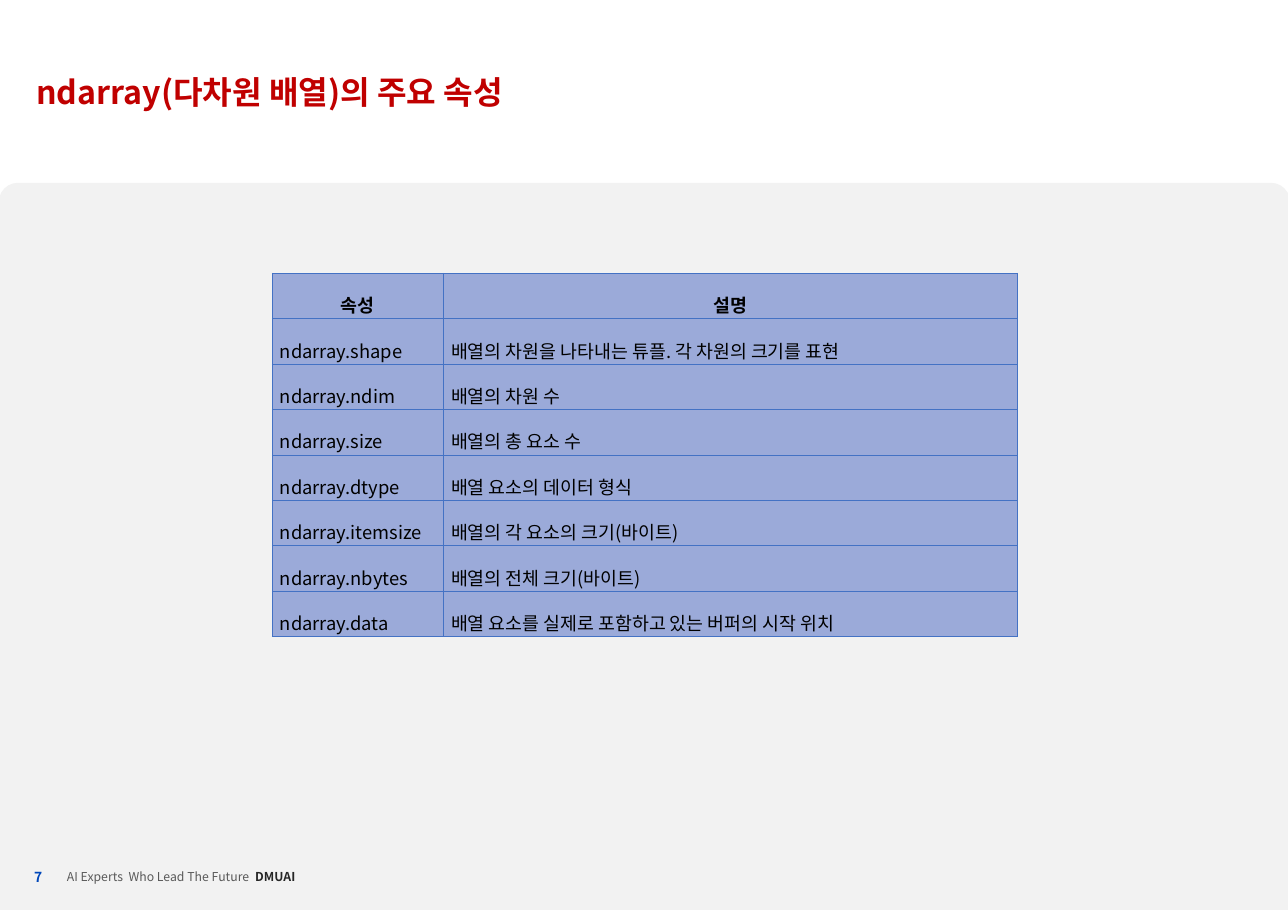
from collections import namedtuple

from lxml import etree
from pptx import Presentation
from pptx import util as u
from pptx.dml import color
from pptx.enum import shapes, text
from pptx.oxml import ns

FONT = "Noto Sans CJK KR"
Box = namedtuple("Box", "left top width height")
Style = namedtuple("Style", "size ink bold")

TITLE = Style(21, "C00000", True)
NUMBER = Style(9, "0047BA", True)
MOTTO = Style(8, "595959", False)
SCHOOL = Style(8, "262626", True)
HEADING = Style(12, "000000", True)
ENTRY = Style(12, "000000", False)

PANEL = "F2F2F2"
CELL = "9BAAD9"
GRID = "4472C4"

ATTRIBUTES = [
    ("속성", "설명"),
    ("ndarray.shape", "배열의 차원을 나타내는 튜플. 각 차원의 크기를 표현"),
    ("ndarray.ndim", "배열의 차원 수"),
    ("ndarray.size", "배열의 총 요소 수"),
    ("ndarray.dtype", "배열 요소의 데이터 형식"),
    ("ndarray.itemsize", "배열의 각 요소의 크기(바이트)"),
    ("ndarray.nbytes", "배열의 전체 크기(바이트)"),
    ("ndarray.data", "배열 요소를 실제로 포함하고 있는 버퍼의 시작 위치"),
]


def rgb(value):
    return color.RGBColor.from_string(value)


def part(box, left, top, width, height):
    return Box(
        int(box.left + box.width * left / 100),
        int(box.top + box.height * top / 100),
        int(box.width * width / 100),
        int(box.height * height / 100),
    )


def add_span(para, words, style):
    span = para.add_run()
    span.text = words
    span.font.name = FONT
    span.font.size = u.Pt(style.size)
    span.font.bold = style.bold
    span.font.color.rgb = rgb(style.ink)
    east_asian = etree.SubElement(span.font._element, ns.qn("a:ea"))
    east_asian.set("typeface", FONT)


def set_margins(target, across, down):
    target.margin_left = target.margin_right = u.Inches(across)
    target.margin_top = target.margin_bottom = u.Inches(down)


def add_panel(page, box, kind):
    panel = page.shapes.add_shape(kind, *box)
    panel.shadow.inherit = False
    panel.fill.solid()
    panel.fill.fore_color.rgb = rgb(PANEL)
    panel.line.fill.background()
    return panel


def add_label(page, box, align, spans):
    frame = page.shapes.add_textbox(*box).text_frame
    frame.word_wrap = False
    set_margins(frame, 0, 0)
    para = frame.paragraphs[0]
    para.alignment = align
    for words, style in spans:
        add_span(para, words, style)


def add_title(page, box):
    title = page.shapes.title
    title.left, title.top, title.width, title.height = box
    frame = title.text_frame
    frame.word_wrap = True
    frame.vertical_anchor = text.MSO_ANCHOR.MIDDLE
    set_margins(frame, 0.1, 0.05)
    para = frame.paragraphs[0]
    para.alignment = text.PP_ALIGN.LEFT
    para.line_spacing = 0.9
    add_span(para, "ndarray(다차원 배열)의 주요 속성", TITLE)


def add_footer(page, box):
    add_panel(page, box, shapes.MSO_SHAPE.RECTANGLE)
    add_label(page, part(box, 5.12, 61.46, 18, 13.54), text.PP_ALIGN.CENTER,
              [("AI Experts  Who Lead The Future  ", MOTTO), ("DMUAI", SCHOOL)])
    add_label(page, part(box, 2.73, 61.46, 1.45, 15.63), text.PP_ALIGN.LEFT,
              [("7", NUMBER)])


def add_borders(cell):
    props = cell._tc.get_or_add_tcPr()
    for index, side in enumerate(("lnL", "lnR", "lnT", "lnB")):
        line = etree.Element(ns.qn(f"a:{side}"), w=str(u.Pt(0.5)))
        fill = etree.SubElement(line, ns.qn("a:solidFill"))
        etree.SubElement(fill, ns.qn("a:srgbClr"), val=GRID)
        props.insert(index, line)


def fill_cell(cell, words, style, align):
    cell.fill.solid()
    cell.fill.fore_color.rgb = rgb(CELL)
    cell.vertical_anchor = text.MSO_ANCHOR.MIDDLE
    set_margins(cell, 0.07, 0.02)
    add_borders(cell)
    para = cell.text_frame.paragraphs[0]
    para.alignment = align
    para.line_spacing = 1.6
    add_span(para, words, style)


def add_attributes(page, box):
    table = page.shapes.add_table(len(ATTRIBUTES), 2, *box).table
    table.first_row = table.horz_banding = False
    for column, share in zip(table.columns, (0.23, 0.77)):
        column.width = int(box.width * share)
    for row, entries in enumerate(ATTRIBUTES):
        style = ENTRY if row else HEADING
        align = text.PP_ALIGN.JUSTIFY if row else text.PP_ALIGN.CENTER
        for column, words in enumerate(entries):
            fill_cell(table.cell(row, column), words, style, align)


def main():
    deck = Presentation()
    deck.slide_width, deck.slide_height = u.Inches(11.69), u.Inches(8.27)
    page = deck.slides.add_slide(deck.slide_layouts[5])
    whole = Box(0, 0, deck.slide_width, deck.slide_height)
    panel = add_panel(page, part(whole, -0.09, 20.07, 100.26, 70.37),
                      shapes.MSO_SHAPE.ROUNDED_RECTANGLE)
    panel.adjustments[0] = 0.03
    add_footer(page, part(whole, -0.09, 88.27, 100.26, 11.61))
    add_title(page, part(whole, 1.97, 8.1, 111.04, 4.47))
    add_attributes(page, part(whole, 21.13, 29.99, 57.83, 39.9))
    deck.save("out.pptx")


if __name__ == "__main__":
    main()
